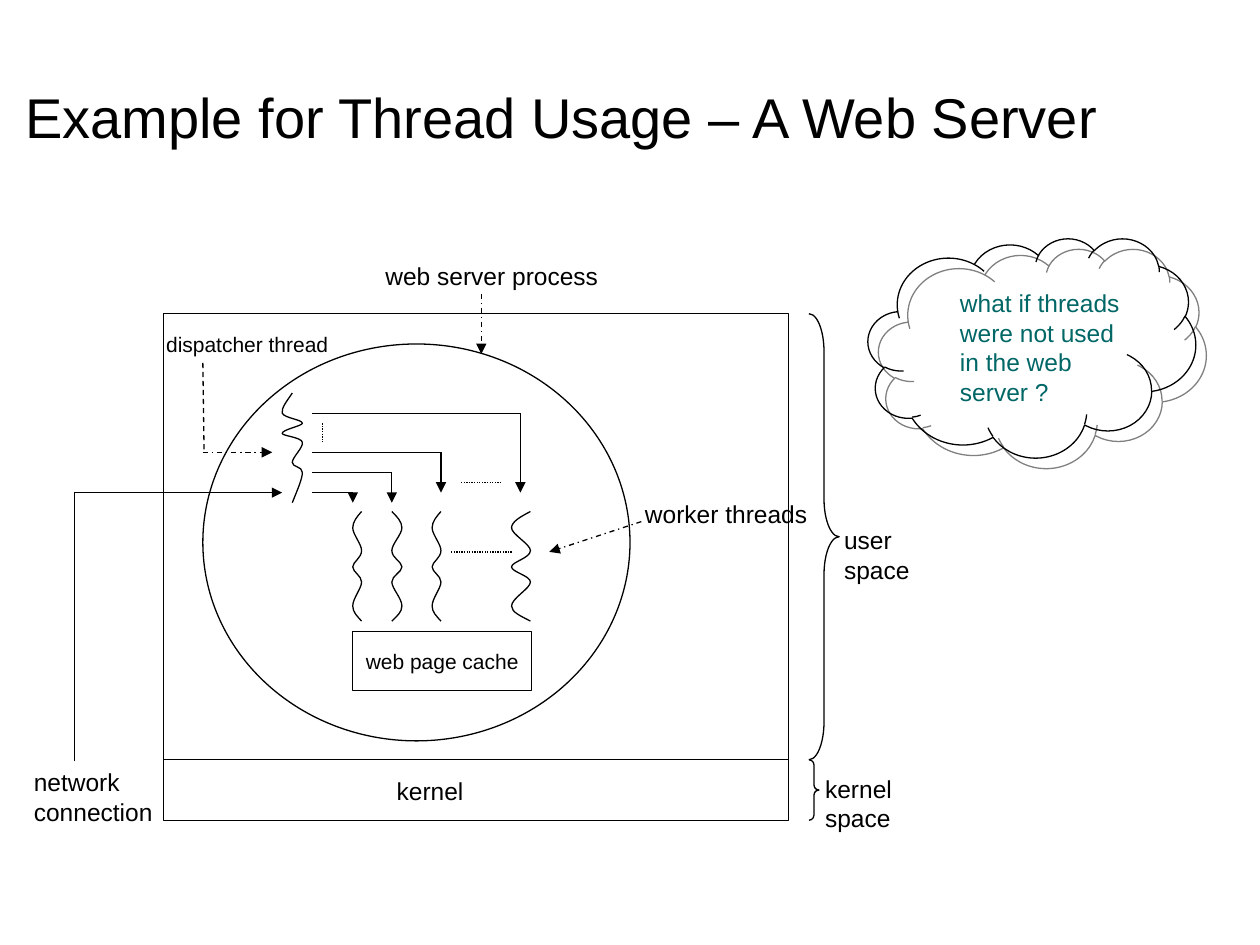
from dataclasses import dataclass
from typing import Optional

from lxml.etree import SubElement
from pptx import Presentation
from pptx.dml.color import RGBColor
from pptx.enum.dml import MSO_LINE
from pptx.enum.shapes import MSO_CONNECTOR, MSO_SHAPE
from pptx.enum.text import MSO_ANCHOR, MSO_AUTO_SIZE, PP_ALIGN
from pptx.oxml.ns import qn
from pptx.util import Inches, Pt

Point = tuple[float, float]


@dataclass(frozen=True)
class Theme:
    font: str = "Arial"
    ink: RGBColor = RGBColor(0x00, 0x00, 0x00)
    question: RGBColor = RGBColor(0x00, 0x66, 0x66)
    shadow: str = "808080"
    title_size: int = 32
    label_size: int = 14
    small_size: int = 12
    line_width: float = 0.75


@dataclass(frozen=True)
class Label:
    lines: tuple[str, ...]
    box: tuple[float, float, float, float]
    size: int
    color: RGBColor


@dataclass(frozen=True)
class Route:
    points: tuple[Point, ...]
    dash: Optional[MSO_LINE] = None
    arrow: bool = False


THEME = Theme()
SERVER_LEFT, SERVER_RIGHT = 1.3, 6.26
SERVER_TOP, KERNEL_TOP, SERVER_BOTTOM = 2.49, 6.03, 6.51
BRACE_LEFT = 6.42
DISPATCH_LEFT = 2.48

# Worker curve: share of the width, then height on the slide
WORKER_CURVE = (
    (0, 4.06), (0.5, 4.1), (1, 4.14), (1, 4.19), (1, 4.24), (0, 4.32), (0, 4.37),
    (0, 4.43), (1, 4.46), (1, 4.5), (1, 4.54), (0, 4.57), (0, 4.62),
    (0, 4.67), (1, 4.75), (1, 4.81), (1, 4.86), (0.5, 4.89), (0, 4.93),
)
WORKER_SPANS = ((2.87, 2.8), (3.11, 3.19), (3.5, 3.43), (4.21, 4.06))
DISPATCHER_CURVE = (
    (2.32, 3.12), (2.28, 3.18), (2.23, 3.24), (2.24, 3.28),
    (2.26, 3.32), (2.4, 3.33), (2.4, 3.36), (2.4, 3.38), (2.24, 3.41), (2.24, 3.44),
    (2.24, 3.46), (2.39, 3.47), (2.4, 3.51), (2.41, 3.55), (2.32, 3.63), (2.32, 3.67),
    (2.32, 3.71), (2.4, 3.7), (2.4, 3.75), (2.4, 3.8), (2.36, 3.89), (2.32, 3.99),
)

# Dispatcher to worker: column, departure height, arrival height
HANDOVERS = ((2.8, 3.91, 3.99), (3.11, 3.75, 3.99), (3.5, 3.59, 3.91), (4.13, 3.28, 3.91))
ROUTES = (
    Route(((SERVER_LEFT, KERNEL_TOP), (SERVER_RIGHT, KERNEL_TOP))),
    *(Route(((DISPATCH_LEFT, start), (x, start), (x, end)), arrow=True)
      for x, start, end in HANDOVERS),
    Route(((0.59, 6.04), (0.59, 3.91), (2.24, 3.91)), arrow=True),
    # Dotted lines standing for further threads
    Route(((3.58, 4.38), (4.06, 4.38)), MSO_LINE.ROUND_DOT),
    Route(((2.56, 3.36), (2.56, 3.51)), MSO_LINE.ROUND_DOT),
    Route(((3.66, 3.83), (3.98, 3.83)), MSO_LINE.ROUND_DOT),
    # Pointers from labels
    Route(((5.09, 4.14), (4.36, 4.38)), MSO_LINE.DASH_DOT, True),
    Route(((1.61, 2.88), (1.62, 3.59)), MSO_LINE.DASH),
    Route(((1.61, 3.59), (2.16, 3.59)), MSO_LINE.DASH_DOT, True),
    Route(((3.82, 2.33), (3.82, 2.81)), MSO_LINE.DASH_DOT, True),
)

LABELS = (
    Label(("worker threads",), (5.02, 3.91, 1.49, 0.34), THEME.label_size, THEME.ink),
    Label(("kernel",), (3.05, 6.11, 0.73, 0.34), THEME.label_size, THEME.ink),
    Label(("user space",), (6.6, 4.12, 1.15, 0.34), THEME.label_size, THEME.ink),
    Label(("kernel space",), (6.45, 6.09, 1.3, 0.34), THEME.label_size, THEME.ink),
    Label(("dispatcher thread",), (1.22, 2.58, 1.49, 0.3), THEME.small_size, THEME.ink),
    Label(("web server process",), (2.96, 2.02, 1.89, 0.34), THEME.label_size, THEME.ink),
    Label(("network", "connection"), (0.17, 6.04, 1.14, 0.57), THEME.label_size, THEME.ink),
    Label(("what if threads", "were not used", "in the web", "server ?"),
          (7.52, 2.24, 1.52, 1.04), THEME.label_size, THEME.question),
)


def add_run(paragraph, text: str, size: int, color: RGBColor) -> None:
    run = paragraph.add_run()
    run.text = text
    run.font.name = THEME.font
    run.font.size = Pt(size)
    run.font.color.rgb = color


def outline(shape) -> None:
    shape.shadow.inherit = False
    shape.fill.background()
    shape.line.color.rgb = THEME.ink
    shape.line.width = Pt(THEME.line_width)


def add_outlined(slide, kind: MSO_SHAPE, left: float, top: float, width: float, height: float):
    shape = slide.shapes.add_shape(kind, *map(Inches, (left, top, width, height)))
    outline(shape)
    return shape


def add_brace(slide, top: float, bottom: float, width: float, curl: float) -> None:
    brace = add_outlined(slide, MSO_SHAPE.RIGHT_BRACE, BRACE_LEFT, top, width, bottom - top)
    brace.adjustments[0] = curl


def add_curve(slide, controls: tuple[Point, ...]) -> None:
    """Draw joined cubic Bezier arcs; neighbouring arcs share an end point."""
    vertices = [(Inches(x), Inches(y)) for x, y in controls]
    builder = slide.shapes.build_freeform(*vertices[0])
    builder.add_line_segments(vertices[1:], close=False)
    curve = builder.convert_to_shape()
    outline(curve)
    # Every three straight steps become one cubic arc
    steps = list(curve._element.iter(qn("a:lnTo")))
    outline_path = steps[0].getparent()
    for first in range(0, len(steps), 3):
        arc = SubElement(outline_path, qn("a:cubicBezTo"))
        for step in steps[first:first + 3]:
            arc.append(step[0])
            outline_path.remove(step)


def add_route(slide, route: Route) -> None:
    segments = list(zip(route.points, route.points[1:]))
    for number, (start, end) in enumerate(segments, 1):
        connector = slide.shapes.add_connector(
            MSO_CONNECTOR.STRAIGHT, *map(Inches, (*start, *end)))
        connector.line.color.rgb = THEME.ink
        connector.line.width = Pt(THEME.line_width)
        if route.dash is not None:
            connector.line.dash_style = route.dash
        properties = connector._element.spPr
        if route.arrow and number == len(segments):
            SubElement(properties.find(qn("a:ln")), qn("a:tailEnd"), type="triangle")
        SubElement(properties, qn("a:effectLst"))


def add_label(slide, label: Label) -> None:
    frame = slide.shapes.add_textbox(*map(Inches, label.box)).text_frame
    frame.word_wrap = False
    frame.auto_size = MSO_AUTO_SIZE.SHAPE_TO_FIT_TEXT
    for number, line in enumerate(label.lines):
        paragraph = frame.add_paragraph() if number else frame.paragraphs[0]
        add_run(paragraph, line, label.size, label.color)


def add_title(slide, text: str) -> None:
    title = slide.shapes.title
    title.left, title.top, title.width, title.height = map(Inches, (0.1, 0.3, 9.4, 1.25))
    title.text_frame.vertical_anchor = MSO_ANCHOR.MIDDLE
    heading = title.text_frame.paragraphs[0]
    heading.alignment = PP_ALIGN.LEFT
    add_run(heading, text, THEME.title_size, THEME.ink)


def add_cloud(slide) -> None:
    cloud = add_outlined(slide, MSO_SHAPE.CLOUD, 6.89, 1.89, 2.6, 1.74)
    effects = cloud._element.spPr.find(qn("a:effectLst"))
    shadow = SubElement(effects, qn("a:outerShdw"), blurRad="0", dist=str(Pt(8.5)),
                        dir="2700000", algn="ctr", rotWithShape="0")
    SubElement(shadow, qn("a:srgbClr"), val=THEME.shadow)


def main() -> None:
    deck = Presentation()
    deck.slide_width, deck.slide_height = Inches(10), Inches(7.5)
    slide = deck.slides.add_slide(deck.slide_layouts[5])
    add_title(slide, "Example for Thread Usage – A Web Server")

    # Machine, process and cache
    add_outlined(slide, MSO_SHAPE.RECTANGLE, SERVER_LEFT, SERVER_TOP,
                 SERVER_RIGHT - SERVER_LEFT, SERVER_BOTTOM - SERVER_TOP)
    add_outlined(slide, MSO_SHAPE.OVAL, 1.61, 2.73, 3.39, 3.15)
    cache = add_outlined(slide, MSO_SHAPE.RECTANGLE, 2.8, 5.01, 1.42, 0.47)
    cache.text_frame.word_wrap = False
    cache_text = cache.text_frame.paragraphs[0]
    cache_text.alignment = PP_ALIGN.CENTER
    add_run(cache_text, "web page cache", THEME.small_size, THEME.ink)

    # Threads
    add_curve(slide, DISPATCHER_CURVE)
    for near, far in WORKER_SPANS:
        add_curve(slide, tuple((near + share * (far - near), y) for share, y in WORKER_CURVE))

    # Lines, braces, cloud and labels
    for route in ROUTES:
        add_route(slide, route)
    add_brace(slide, SERVER_TOP, KERNEL_TOP, 0.24, 1.25)
    add_brace(slide, KERNEL_TOP, SERVER_BOTTOM, 0.08, 0.5)
    add_cloud(slide)
    for label in LABELS:
        add_label(slide, label)
    deck.save("out.pptx")


if __name__ == "__main__":
    main()
